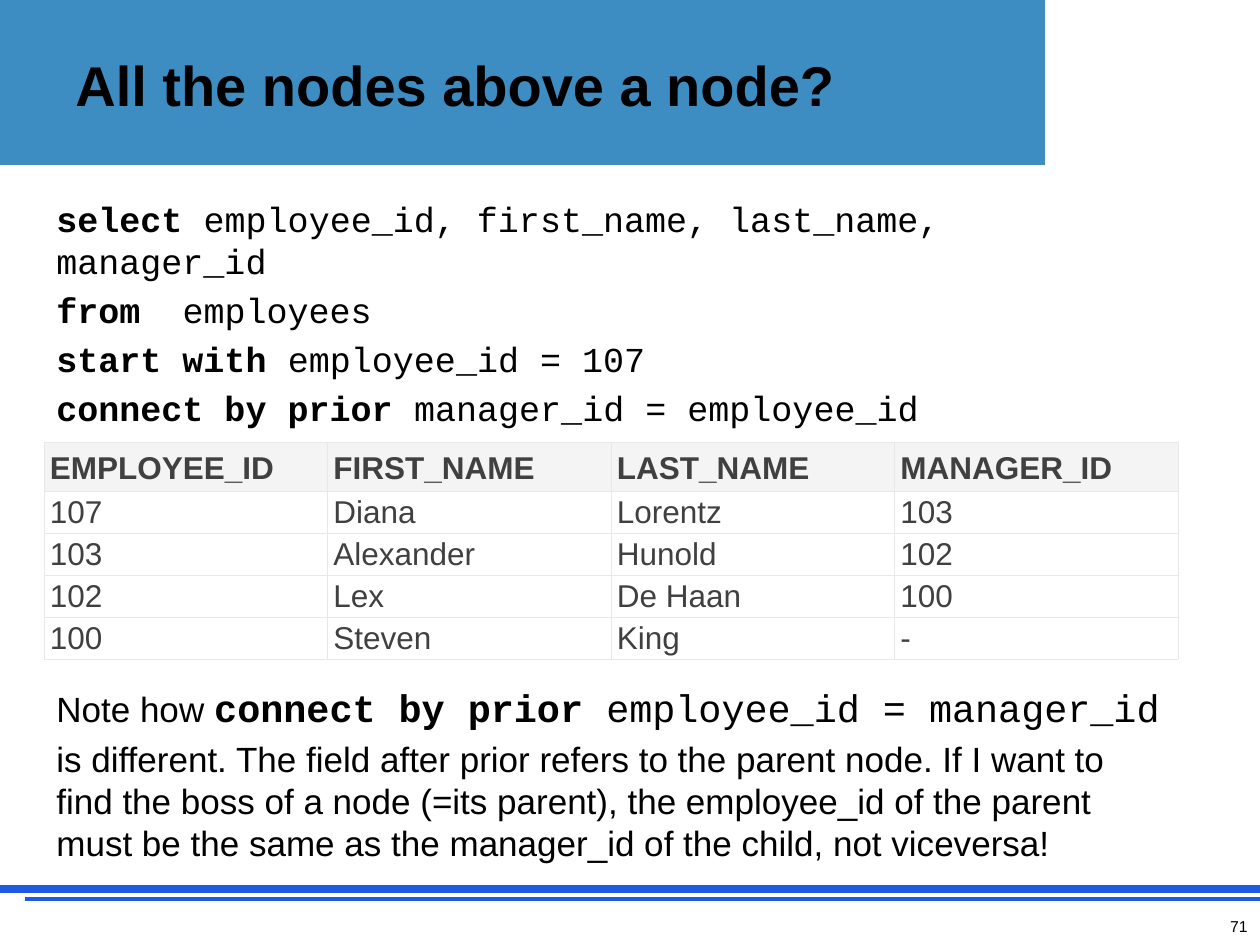
from lxml import etree
from pptx import Presentation
from pptx.dml.color import RGBColor
from pptx.enum.shapes import MSO_CONNECTOR, MSO_SHAPE
from pptx.enum.text import MSO_ANCHOR, PP_ALIGN
from pptx.oxml.ns import qn
from pptx.util import Emu, Pt

RECT = MSO_SHAPE.RECTANGLE
STRAIGHT = MSO_CONNECTOR.STRAIGHT
MIDDLE, BOTTOM = MSO_ANCHOR.MIDDLE, MSO_ANCHOR.BOTTOM
RIGHT = PP_ALIGN.RIGHT
SANS, MONO = "Arial", "Courier New"
SCALE = 914400 / 126  # EMU in one px


def px(*lengths):
    return [Emu(round(length * SCALE)) for length in lengths]


def color(target, value):
    """Give a fill, line fill or font a solid colour."""
    if hasattr(target, "solid"):
        target.solid()
        target.fore_color.rgb = RGBColor.from_string(value)
    else:
        target.color.rgb = RGBColor.from_string(value)


deck = Presentation()
deck.slide_width, deck.slide_height = px(1260, 945)
page = deck.slides.add_slide(deck.slide_layouts[6])

# Title band with a white corner, and the footer rules
for place, fill in [((0, 0, 1260, 165), "3D8DC3"), ((1047, 0, 213, 175), "FFFFFF")]:
    band = page.shapes.add_shape(RECT, *px(*place))
    band.shadow.inherit = False
    color(band.fill, fill)
    if fill == "FFFFFF":
        color(band.line.fill, fill)
        band.line.width = Pt(2)
    else:
        band.line.fill.background()

for left, top, width in [(0, 889, 4.5), (25, 899, 2.25)]:
    rule = page.shapes.add_connector(STRAIGHT, *px(left, top, 1260, top))
    color(rule.line.fill, "1E5BE2")
    rule.line.width = Pt(width)
    etree.SubElement(rule._element.spPr, qn("a:effectLst"))

# Text boxes: place, line height in points, paragraphs of (text, font, size, bold)
texts = [
    ((63, 16, 864, 136), None, [
        [("All the nodes above a node?", SANS, 32, True)],
    ]),
    ((44, 191, 1134, 245), 24, [
        [("select ", MONO, 20, True),
         ("employee_id, first_name, last_name, manager_id", MONO, 20, False)],
        [("from  ", MONO, 20, True), ("employees", MONO, 20, False)],
        [("start with ", MONO, 20, True), ("employee_id = 107", MONO, 20, False)],
        [("connect by prior ", MONO, 20, True),
         ("manager_id = employee_id", MONO, 20, False)],
    ]),
    ((44, 682, 1134, 190), 24, [
        [("Note how ", SANS, 20, False), ("connect by prior ", MONO, 22, True),
         ("employee_id = manager_id", MONO, 22, False)],
        [("is different. The field after prior refers to the parent node. "
          "If I want to find the boss of a node (=its parent), the employee_id "
          "of the parent must be the same as the manager_id of the child, "
          "not viceversa!", SANS, 20, False)],
    ]),
    ((966, 911, 294, 34), None, [[("71", SANS, 9, False)]]),
]
boxes = []
for place, line_height, paragraphs in texts:
    box = page.shapes.add_textbox(*px(*place))
    boxes.append(box)
    frame = box.text_frame
    frame.word_wrap = True
    for index, spans in enumerate(paragraphs):
        para = frame.add_paragraph() if index else frame.paragraphs[0]
        if line_height:
            para.line_spacing = Pt(line_height)
        if index:
            para.space_before = Pt(4)
        for text, font, size, bold in spans:
            span = para.add_run()
            span.text = text
            span.font.name, span.font.size, span.font.bold = font, Pt(size), bold
            color(span.font, "000000")
title, code, note, number = boxes
title.text_frame.vertical_anchor = MIDDLE
number.text_frame.paragraphs[0].alignment = RIGHT

# Query result
rows = [
    ("EMPLOYEE_ID", "FIRST_NAME", "LAST_NAME", "MANAGER_ID"),
    ("107", "Diana", "Lorentz", "103"),
    ("103", "Alexander", "Hunold", "102"),
    ("102", "Lex", "De Haan", "100"),
    ("100", "Steven", "King", "-"),
]
table = page.shapes.add_table(len(rows), 4, *px(44, 442, 1134, 214)).table
for column in table.columns:
    column.width = px(1134)[0] // 4
for r, values in enumerate(rows):
    header = r == 0
    table.rows[r].height = px(48)[0] if header else px(166)[0] // 4
    for c, value in enumerate(values):
        cell = table.cell(r, c)
        cell.margin_left, cell.margin_right = px(6, 6)
        cell.margin_top, cell.margin_bottom = px(6, 6) if header else px(2, 2)
        cell.vertical_anchor = BOTTOM if header else MIDDLE
        span = cell.text_frame.paragraphs[0].add_run()
        span.text = value
        span.font.name, span.font.size, span.font.bold = SANS, Pt(18), header
        color(span.font, "404040")
        properties = cell._tc.get_or_add_tcPr()
        for side in ("lnL", "lnR", "lnT", "lnB"):
            border = etree.SubElement(properties, qn(f"a:{side}"), w=str(Pt(0.43)))
            fill = etree.SubElement(border, qn("a:solidFill"))
            etree.SubElement(fill, qn("a:srgbClr"), val="E8E8E8")
        color(cell.fill, "F4F4F4" if header else "FFFFFF")

deck.save("out.pptx")
